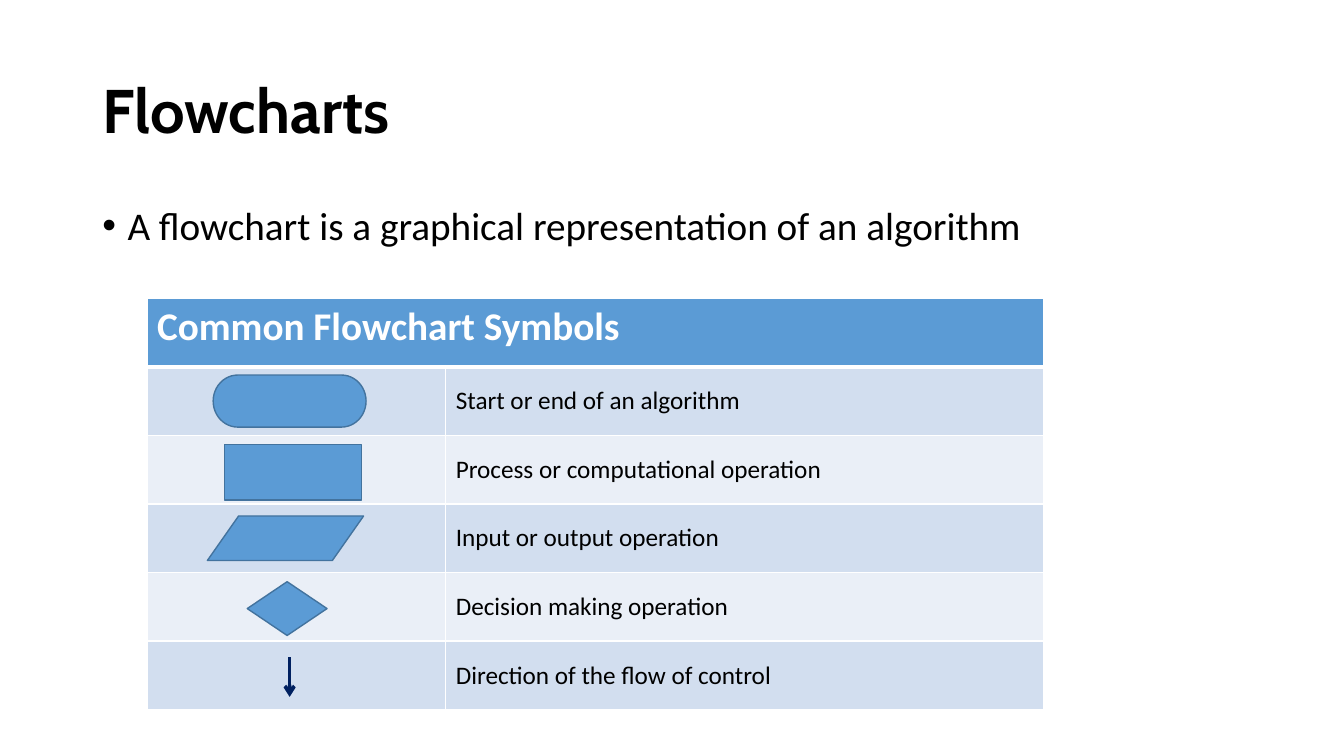
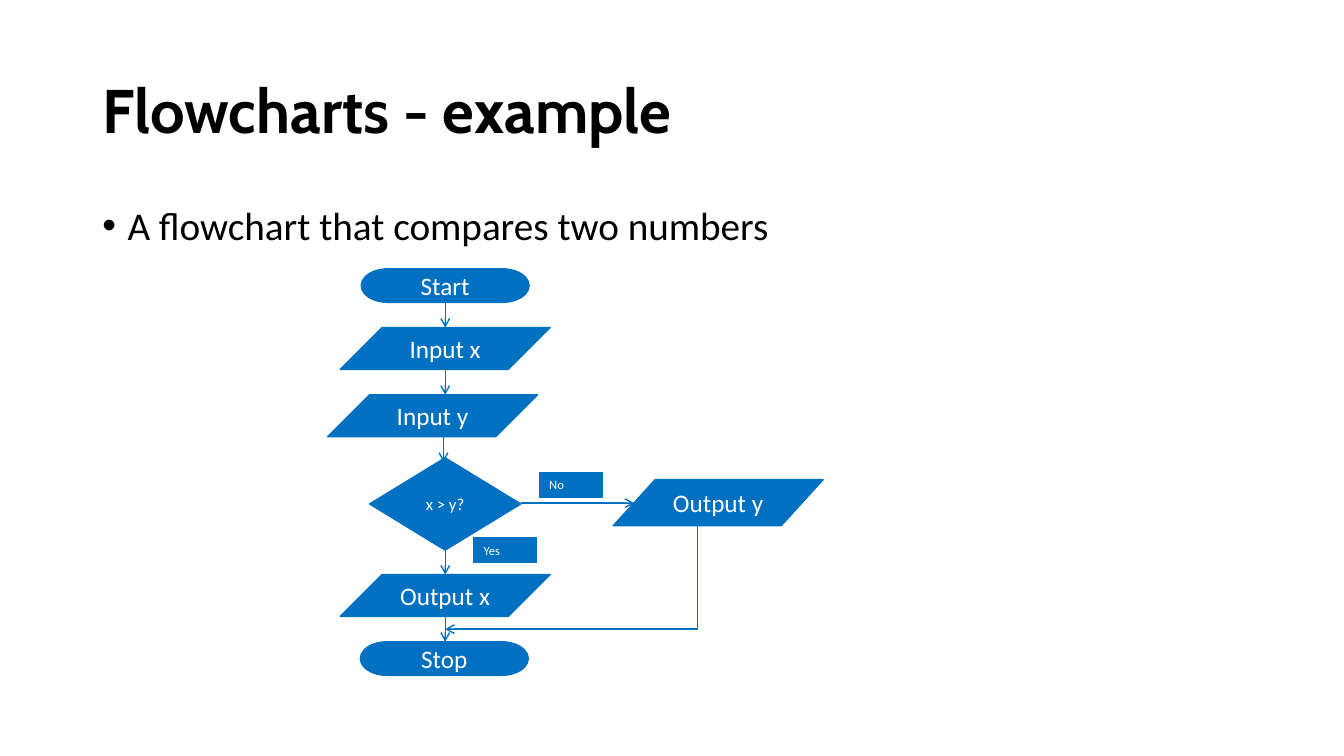
from dataclasses import dataclass

from lxml.etree import SubElement
from pptx import Presentation
from pptx.dml.color import RGBColor
from pptx.enum.shapes import MSO_CONNECTOR, MSO_SHAPE
from pptx.enum.text import MSO_ANCHOR, MSO_AUTO_SIZE, PP_ALIGN
from pptx.oxml.ns import qn
from pptx.util import Inches, Pt

COLUMNS, ROWS = 160, 90
WIDTH, HEIGHT = Inches(13.333), Inches(7.5)
HEADING_FONT, BODY_FONT = "Cabin", "Calibri"
BLACK, WHITE = "000000", "FFFFFF"
HEADER_BLUE, SYMBOL_EDGE, ARROW_NAVY = "5B9BD5", "43739E", "002060"
BANDS = ("D2DEEF", "EAEFF7")
FLOW_BLUE = "0070C0"

TERMINATOR = MSO_SHAPE.FLOWCHART_TERMINATOR
PROCESS = MSO_SHAPE.FLOWCHART_PROCESS
DATA = MSO_SHAPE.FLOWCHART_DATA
DECISION = MSO_SHAPE.FLOWCHART_DECISION


@dataclass
class Box:
    left: float
    top: float
    width: float
    height: float

    def inner(self, left, top, width, height):
        return Box(self.left + left, self.top + top, width, height)

    def point(self, column, row):
        return self.left + column, self.top + row

    def emu(self):
        return across(self.left), down(self.top), across(self.width), down(self.height)


TITLE_BOX = Box(11, 4.8, 138, 17.4)
BODY_BOX = Box(11, 24, 138, 57.1)
TABLE_BOX = Box(17.5, 35.5, 106.7, 49)
FLOW_BOX = Box(39, 32, 59, 48.4)

SYMBOLS = (
    ("Start or end of an algorithm", TERMINATOR, -0.8, 0, 18.2, 6.2),
    ("Process or computational operation", PROCESS, -0.4, 0.3, 16.3, 6.6),
    ("Input or output operation", DATA, -1.3, 0, 18.6, 5.3),
    ("Decision making operation", DECISION, -1.1, 0.2, 9.5, 6.4),
    ("Direction of the flow of control", None, -0.8, 0.2, 0, 4.7),
)

STEPS = (
    ("Input y", DATA, 0, 15, 25, 5, 18),
    ("Start", TERMINATOR, 4, 0, 20, 4, 18),
    ("Input x", DATA, 1.5, 7, 25, 5, 18),
    ("x > y?", DECISION, 5, 22.5, 18, 11, 12),
    ("Output x", DATA, 1.5, 36.4, 25, 5, 18),
    ("Stop", TERMINATOR, 3.9, 44.4, 20, 4, 18),
    ("Output y", DATA, 34, 25.1, 25, 5.5, 18),
)
SPINE, GAP = 14, 3
GAP_STARTS = ((SPINE, 4), (SPINE, 12), (SPINE - 0.2, 20), (SPINE, 33.4), (SPINE, 41.4))
BRANCHES = (("No", 25.2, 24.2), ("Yes", 17.4, 32))


def across(columns):
    return round(WIDTH * columns / COLUMNS)


def down(rows):
    return round(HEIGHT * rows / ROWS)


def color(value):
    return RGBColor.from_string(value)


def write(frame, words, size, ink, font=BODY_FONT, bold=False, align=PP_ALIGN.LEFT):
    frame.text = words
    paragraph = frame.paragraphs[0]
    paragraph.alignment = align
    run_font = paragraph.runs[0].font
    run_font.name, run_font.size, run_font.bold = font, Pt(size), bold
    run_font.color.rgb = color(ink)
    return paragraph


def add_text(slide, box, words, size, anchor, **style):
    frame = slide.shapes.add_textbox(*box.emu()).text_frame
    frame.word_wrap = True
    frame.vertical_anchor = anchor
    paragraph = write(frame, words, size, BLACK, **style)
    paragraph.line_spacing = 0.9
    return paragraph


def add_heading(slide, title, statement):
    add_text(slide, TITLE_BOX, title, 44, MSO_ANCHOR.MIDDLE, font=HEADING_FONT, bold=True)
    bullet = add_text(slide, BODY_BOX, statement, 28, MSO_ANCHOR.TOP)
    bullet.space_before = Pt(10)
    properties = bullet._p.get_or_add_pPr()
    properties.set("marL", str(Inches(0.25)))
    properties.set("indent", str(-Inches(0.25)))
    SubElement(properties, qn("a:buFont"), typeface="Arial")
    SubElement(properties, qn("a:buChar"), char="•")


def add_symbol(slide, kind, box, fill, edge, weight=1):
    symbol = slide.shapes.add_shape(kind, *box.emu())
    symbol.shadow.inherit = False
    symbol.fill.solid()
    symbol.fill.fore_color.rgb = color(fill)
    symbol.line.color.rgb = color(edge)
    symbol.line.width = Pt(weight)
    return symbol


def add_arrow(slide, start, end, ink, weight=1, kind=MSO_CONNECTOR.STRAIGHT):
    arrow = slide.shapes.add_connector(
        kind, across(start[0]), down(start[1]), across(end[0]), down(end[1]))
    arrow.line.color.rgb = color(ink)
    arrow.line.width = Pt(weight)
    SubElement(arrow.line._get_or_add_ln(), qn("a:tailEnd"), type="arrow")
    SubElement(arrow._element.spPr, qn("a:effectLst"))
    return arrow


def add_corner_arrow(slide, start, end, ink):
    middle = (start[0] + end[0]) / 2, (start[1] + end[1]) / 2
    half_drop, half_run = (end[1] - start[1]) / 2, (start[0] - end[0]) / 2
    arrow = add_arrow(
        slide, (middle[0] - half_drop, middle[1] - half_run),
        (middle[0] + half_drop, middle[1] + half_run), ink, kind=MSO_CONNECTOR.ELBOW)
    properties = arrow._element.spPr
    properties.find(qn("a:xfrm")).set("rot", "5400000")
    properties.find(qn("a:prstGeom")).set("prst", "bentConnector2")


def style_cell(cell, fill, bottom=1, top=1):
    properties = cell._tc.get_or_add_tcPr()
    for side, weight in (("L", 1), ("R", 1), ("T", top), ("B", bottom)):
        border = SubElement(properties, qn(f"a:ln{side}"), w=str(Pt(weight)))
        paint = SubElement(border, qn("a:solidFill"))
        SubElement(paint, qn("a:srgbClr"), val=WHITE)
    cell.fill.solid()
    cell.fill.fore_color.rgb = color(fill)
    cell.vertical_anchor = MSO_ANCHOR.MIDDLE


def add_symbol_table(slide, box):
    row_count = len(SYMBOLS) + 1
    row_height, symbol_width = box.height / row_count, box.width / 3
    table = slide.shapes.add_table(row_count, 2, *box.emu()).table
    table.horz_banding = False
    table.columns[0].width = across(symbol_width)
    table.columns[1].width = across(box.width - symbol_width)
    for row in table.rows:
        row.height = down(row_height)

    header = table.cell(0, 0)
    header.merge(table.cell(0, 1))
    for cell in table.rows[0].cells:
        style_cell(cell, HEADER_BLUE, bottom=3)
    header.vertical_anchor = MSO_ANCHOR.TOP
    write(header.text_frame, "Common Flowchart Symbols", 28, WHITE, bold=True)

    for index, (meaning, kind, shift, drop, width, height) in enumerate(SYMBOLS, 1):
        for cell in table.rows[index].cells:
            style_cell(cell, BANDS[(index - 1) % 2], top=3 if index == 1 else 1)
        write(table.cell(index, 1).text_frame, meaning, 18, BLACK)
        place = box.inner(symbol_width / 2 + shift - width / 2,
                          row_height * (index + 0.5) + drop - height / 2, width, height)
        if kind is None:
            add_arrow(slide, place.point(0, 0), place.point(0, height), ARROW_NAVY, 2.5)
        else:
            add_symbol(slide, kind, place, HEADER_BLUE, SYMBOL_EDGE)


def add_comparison_flow(slide, box):
    for words, kind, left, top, width, height, size in STEPS:
        step = add_symbol(slide, kind, box.inner(left, top, width, height), FLOW_BLUE, FLOW_BLUE)
        step.text_frame.vertical_anchor = MSO_ANCHOR.MIDDLE
        write(step.text_frame, words, size, WHITE, align=PP_ALIGN.CENTER)
    for column, row in GAP_STARTS:
        add_arrow(slide, box.point(column, row), box.point(column, row + GAP), FLOW_BLUE)
    add_arrow(slide, box.point(23, 27.9), box.point(36.5, 27.9), FLOW_BLUE)
    add_corner_arrow(slide, box.point(44, 30.6), box.point(SPINE, 42.9), FLOW_BLUE)
    for answer, left, top in BRANCHES:
        label = add_symbol(slide, MSO_SHAPE.RECTANGLE, box.inner(left, top, 7.5, 3),
                           FLOW_BLUE, FLOW_BLUE, 0.75)
        label.text_frame.vertical_anchor = MSO_ANCHOR.TOP
        label.text_frame.auto_size = MSO_AUTO_SIZE.SHAPE_TO_FIT_TEXT
        write(label.text_frame, answer, 9, WHITE)


def main():
    deck = Presentation()
    deck.slide_width, deck.slide_height = WIDTH, HEIGHT
    pages = (
        ("Flowcharts", "A flowchart is a graphical representation of an algorithm",
         add_symbol_table, TABLE_BOX),
        ("Flowcharts - example", "A flowchart that compares two numbers",
         add_comparison_flow, FLOW_BOX),
    )
    for title, statement, add_content, box in pages:
        slide = deck.slides.add_slide(deck.slide_layouts[6])
        add_heading(slide, title, statement)
        add_content(slide, box)
    deck.save("out.pptx")


if __name__ == "__main__":
    main()
